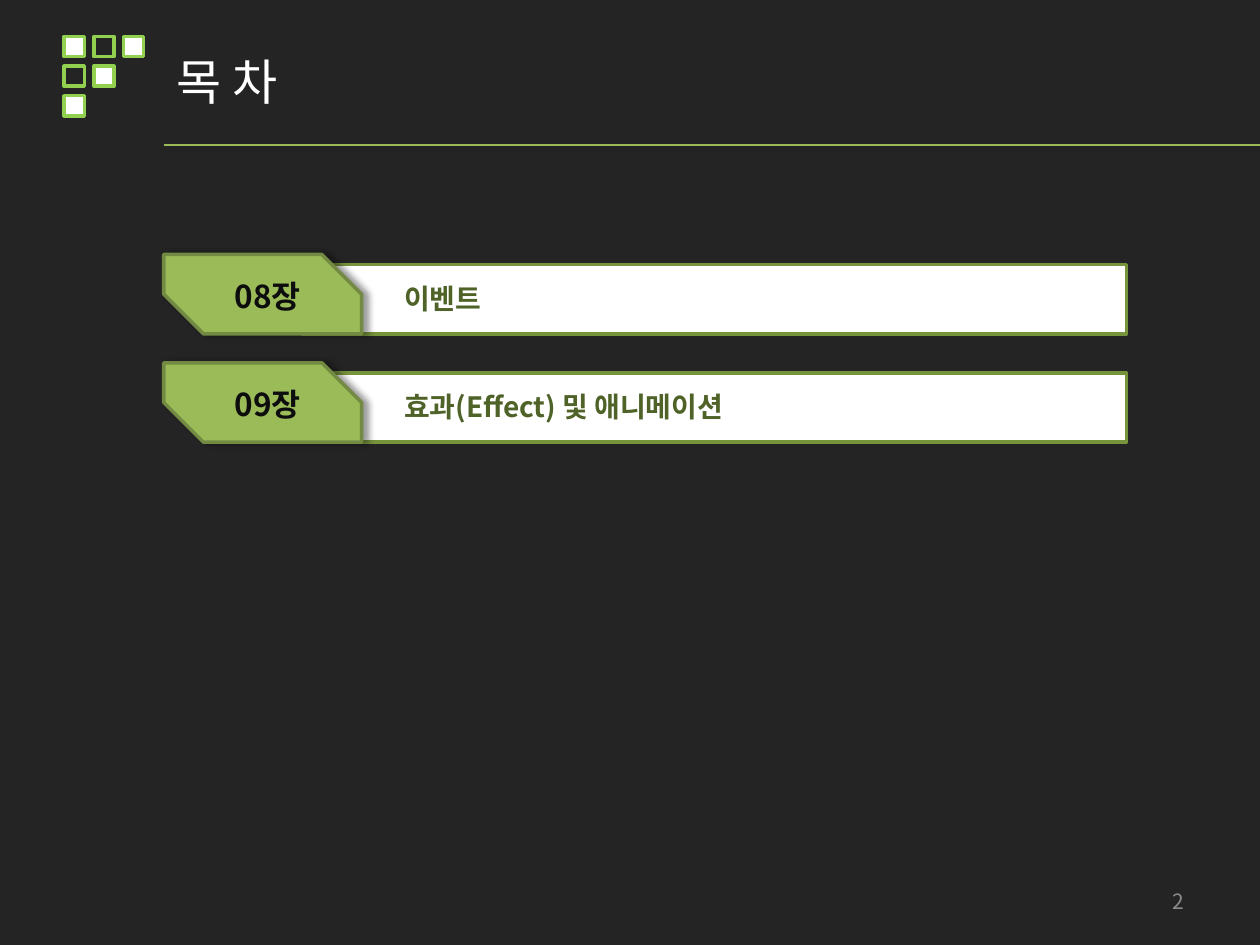
"""Build a dark contents slide with two chapter rows."""
from lxml import etree
from pptx import Presentation
from pptx.dml.color import RGBColor
from pptx.enum.shapes import MSO_CONNECTOR, MSO_SHAPE
from pptx.enum.text import MSO_ANCHOR, PP_ALIGN
from pptx.oxml.ns import qn
from pptx.util import Inches, Pt

RECT, SNIP = MSO_SHAPE.RECTANGLE, MSO_SHAPE.SNIP_2_DIAG_RECTANGLE
STRAIGHT = MSO_CONNECTOR.STRAIGHT
MIDDLE = MSO_ANCHOR.MIDDLE
LEFT, CENTER, RIGHT = PP_ALIGN.LEFT, PP_ALIGN.CENTER, PP_ALIGN.RIGHT

DARK = RGBColor(0x24, 0x24, 0x24)
WHITE = RGBColor(0xFF, 0xFF, 0xFF)
LIME = RGBColor(0x92, 0xD0, 0x50)
GREEN = RGBColor(0x9B, 0xBB, 0x59)
BAR_EDGE = RGBColor(0x77, 0x93, 0x3C)
TAB_EDGE = RGBColor(0x73, 0x8A, 0x42)
OLIVE = RGBColor(0x4F, 0x62, 0x28)
BLACK = RGBColor(0x0D, 0x0D, 0x0D)
GRAY = RGBColor(0x8C, 0x8C, 0x8C)
FONT = "Noto Sans CJK KR"

W, H = 10, 7.5
MARGIN = 1.3
ROW_TOP, ROW_STEP = 2.02, 0.86
LOGO_X, LOGO_Y, LOGO_STEP, LOGO_SIZE = 0.51, 0.29, 0.235, 0.16
LOGO = ["#.#", ".#", "#"]
CHAPTERS = [("08장", "이벤트"), ("09장", "효과(Effect) 및 애니메이션")]

prs = Presentation()
prs.slide_width, prs.slide_height = Inches(W), Inches(H)
s = prs.slides.add_slide(prs.slide_layouts[6])
s.background.fill.solid()
s.background.fill.fore_color.rgb = DARK


def add_box(kind, x, y, w, h, fill, edge):
    sp = s.shapes.add_shape(kind, Inches(x), Inches(y), Inches(w), Inches(h))
    sp.shadow.inherit = False
    if fill is None:
        sp.fill.background()
    else:
        sp.fill.solid()
        sp.fill.fore_color.rgb = fill
    sp.line.color.rgb = edge
    sp.line.width = Pt(2)
    return sp


def add_text(text, x, y, w, h, size, color, align=LEFT, bold=False):
    tf = s.shapes.add_textbox(Inches(x), Inches(y), Inches(w), Inches(h)).text_frame
    tf.word_wrap = True
    tf.vertical_anchor = MIDDLE
    p = tf.paragraphs[0]
    p.text = text
    p.alignment = align
    r = p.runs[0]
    r.font.size, r.font.bold, r.font.name = Pt(size), bold, FONT
    r.font.color.rgb = color
    etree.SubElement(r.font._element, qn("a:ea"), typeface=FONT)


for row, cells in enumerate(LOGO):
    for col, cell in enumerate(cells):
        add_box(RECT, LOGO_X + col * LOGO_STEP, LOGO_Y + row * LOGO_STEP,
                LOGO_SIZE, LOGO_SIZE, WHITE if cell == "#" else None, LIME)

rule = s.shapes.add_connector(STRAIGHT, Inches(MARGIN), Inches(1.15), Inches(W), Inches(1.15))
rule.line.color.rgb = GREEN
rule.line.width = Pt(1.25)
etree.SubElement(rule._element.spPr, qn("a:effectLst"))

add_text("목 차", MARGIN, 0.22, 8.66, 0.85, 28, WHITE)

for i, (number, title) in enumerate(CHAPTERS):
    y = ROW_TOP + i * ROW_STEP
    add_box(RECT, 2.4, y + 0.08, 6.54, 0.55, WHITE, BAR_EDGE)
    tab = add_box(SNIP, MARGIN, y, 1.57, 0.63, GREEN, TAB_EDGE)
    tab.adjustments[0], tab.adjustments[1] = 0, 0.5
    effects = tab._element.spPr.find(qn("a:effectLst"))
    shadow = etree.SubElement(effects, qn("a:outerShdw"), blurRad=str(Pt(4)),
                              dist=str(Pt(3)), dir="0", algn="l", rotWithShape="0")
    black = etree.SubElement(shadow, qn("a:srgbClr"), val="000000")
    etree.SubElement(black, qn("a:alpha"), val="40000")
    add_text(title, 3.11, y + 0.15, 5.59, 0.39, 16, OLIVE, bold=True)
    add_text(number, 1.69, y + 0.13, 0.87, 0.39, 18, BLACK, CENTER, True)

add_text("2", 7.17, 6.95, 2.33, 0.4, 12, GRAY, RIGHT)

prs.save("out.pptx")
